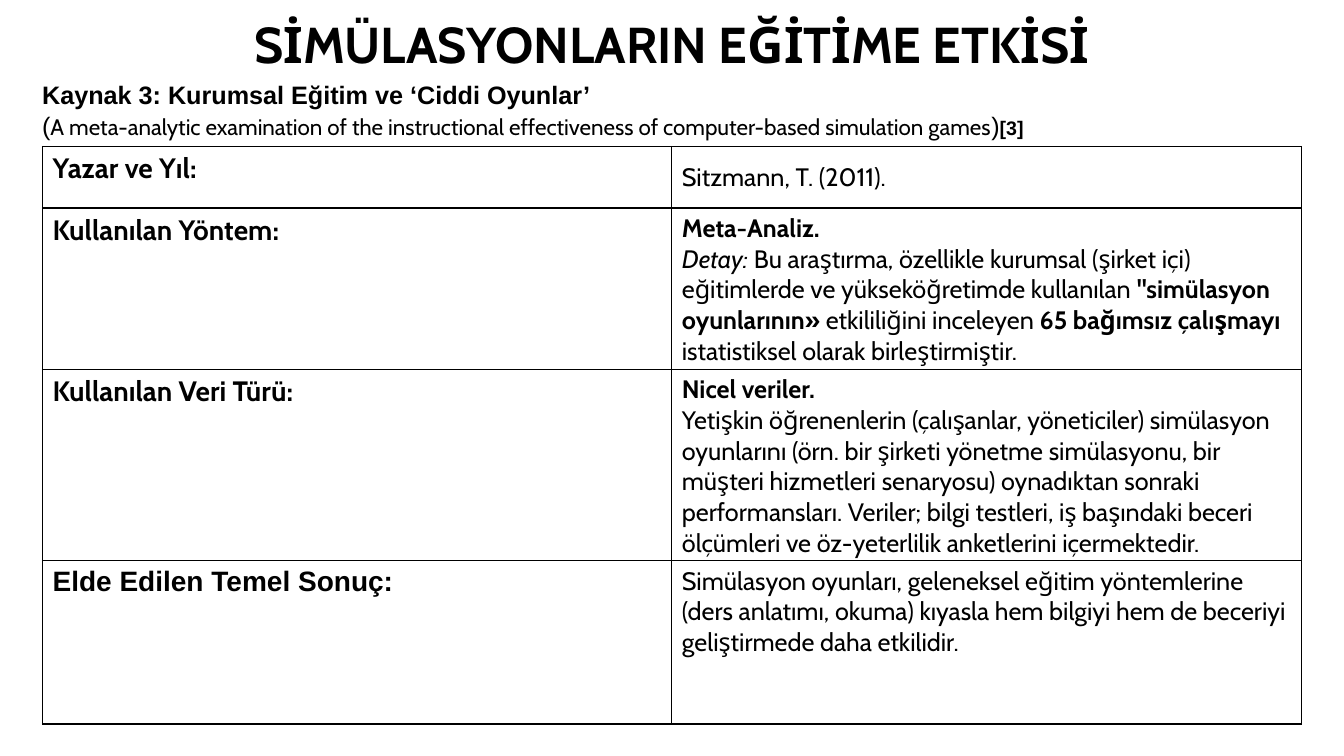
from dataclasses import dataclass

from lxml.etree import SubElement
from pptx import Presentation
from pptx.dml.color import RGBColor
from pptx.enum.text import MSO_ANCHOR, MSO_AUTO_SIZE, PP_ALIGN
from pptx.oxml.ns import qn
from pptx.slide import Slide
from pptx.table import _Cell
from pptx.text.text import Font, TextFrame, _Paragraph
from pptx.util import Pt

BLACK = RGBColor(0, 0, 0)
WHITE = RGBColor(255, 255, 255)
COL_WIDTH = 449.5


@dataclass(frozen=True)
class Run:
    text: str
    size: float = 18
    bold: bool = False
    italic: bool = False
    face: str = "Cabin"


@dataclass(frozen=True)
class Row:
    height: float
    label: Run
    lines: list[list[Run]]
    anchor: MSO_ANCHOR = MSO_ANCHOR.MIDDLE


TITLE = Run("SİMÜLASYONLARIN EĞİTİME ETKİSİ", 36, bold=True)
SOURCE = [
    [Run("Kaynak 3: Kurumsal Eğitim ve ‘Ciddi Oyunlar’", bold=True, face="Arial")],
    [
        Run("(", face="Arial"),
        Run("A meta-analytic examination of the instructional effectiveness "
            "of computer-based simulation games", 16),
        Run(")", face="Arial"),
        Run("[3]", 14, bold=True, face="Arial"),
    ],
]
ROWS = [
    Row(43.92, Run("Yazar ve Yıl:", 20, bold=True), [[Run("Sitzmann, T. (2011).")]]),
    Row(100.08, Run("Kullanılan Yöntem:", 20, bold=True), [
        [Run("Meta-Analiz.", bold=True)],
        [
            Run("Detay:", italic=True),
            Run(" Bu araştırma, özellikle kurumsal (şirket içi) eğitimlerde ve "
                "yükseköğretimde kullanılan "),
            Run('"simülasyon oyunlarının» ', bold=True),
            Run("etkililiğini inceleyen "),
            Run("65 bağımsız çalışmayı", bold=True),
            Run(" istatistiksel olarak birleştirmiştir."),
        ],
    ]),
    Row(118.8, Run("Kullanılan Veri Türü:", 20, bold=True), [
        [Run("Nicel veriler.", bold=True)],
        [Run("Yetişkin öğrenenlerin (çalışanlar, yöneticiler) simülasyon oyunlarını "
             "(örn. bir şirketi yönetme simülasyonu, bir müşteri hizmetleri senaryosu) "
             "oynadıktan sonraki performansları. Veriler; bilgi testleri, iş başındaki "
             "beceri ölçümleri ve öz-yeterlilik anketlerini içermektedir.")],
    ]),
    Row(116.64, Run("Elde Edilen Temel Sonuç:", 20, bold=True, face="Arial"), [
        [Run("Simülasyon oyunları, geleneksel eğitim yöntemlerine (ders anlatımı, okuma) "
             "kıyasla hem bilgiyi hem de beceriyi geliştirmede daha etkilidir.")],
    ], MSO_ANCHOR.TOP),
]


def style(font: Font, run: Run) -> None:
    font.name = run.face
    font.size = Pt(run.size)
    font.bold = run.bold
    font.italic = run.italic
    font.color.rgb = BLACK


def write(para: _Paragraph, runs: list[Run]) -> None:
    """Add the runs, with one paragraph font when there is a single run."""
    for run in runs:
        part = para.add_run()
        part.text = run.text
        style(para.font if len(runs) == 1 else part.font, run)


def fill_text(frame: TextFrame, lines: list[list[Run]]) -> None:
    for index, runs in enumerate(lines):
        write(frame.add_paragraph() if index else frame.paragraphs[0], runs)


def add_border(cell: _Cell) -> None:
    props = cell._tc.get_or_add_tcPr()
    for place, side in enumerate(("lnL", "lnR", "lnT", "lnB")):
        line = props.makeelement(qn(f"a:{side}"), {"w": str(Pt(1))})
        props.insert(place, line)
        solid = SubElement(line, qn("a:solidFill"))
        SubElement(solid, qn("a:srgbClr"), val=str(BLACK))


def add_title(slide: Slide) -> None:
    title = slide.shapes.title
    title.left, title.top, title.width, title.height = Pt(66), Pt(0), Pt(828), Pt(67)
    frame = title.text_frame
    frame.auto_size = MSO_AUTO_SIZE.NONE
    frame.vertical_anchor = MSO_ANCHOR.MIDDLE
    para = frame.paragraphs[0]
    para.alignment = PP_ALIGN.CENTER
    para.line_spacing = 0.9
    write(para, [TITLE])


def add_source(slide: Slide) -> None:
    box = slide.shapes.add_textbox(Pt(23), Pt(53.3), Pt(899), Pt(51))
    frame = box.text_frame
    frame.word_wrap = True
    frame.auto_size = MSO_AUTO_SIZE.SHAPE_TO_FIT_TEXT
    fill_text(frame, SOURCE)


def add_grid(slide: Slide) -> None:
    height = sum(row.height for row in ROWS)
    table = slide.shapes.add_table(
        len(ROWS), 2, Pt(30.4), Pt(104.6), Pt(2 * COL_WIDTH), Pt(height)
    ).table
    table.first_row = table.horz_banding = False
    for col in table.columns:
        col.width = Pt(COL_WIDTH)
    for index, row in enumerate(ROWS):
        table.rows[index].height = Pt(row.height)
        label, detail = table.rows[index].cells
        fill_text(label.text_frame, [[row.label]])
        fill_text(detail.text_frame, row.lines)
        detail.vertical_anchor = row.anchor
        for cell in (label, detail):
            cell.fill.solid()
            cell.fill.fore_color.rgb = WHITE
            add_border(cell)


def main() -> None:
    deck = Presentation()
    deck.slide_width, deck.slide_height = Pt(960), Pt(540)
    slide = deck.slides.add_slide(deck.slide_layouts[5])
    add_title(slide)
    add_source(slide)
    add_grid(slide)
    deck.save("out.pptx")


if __name__ == "__main__":
    main()
